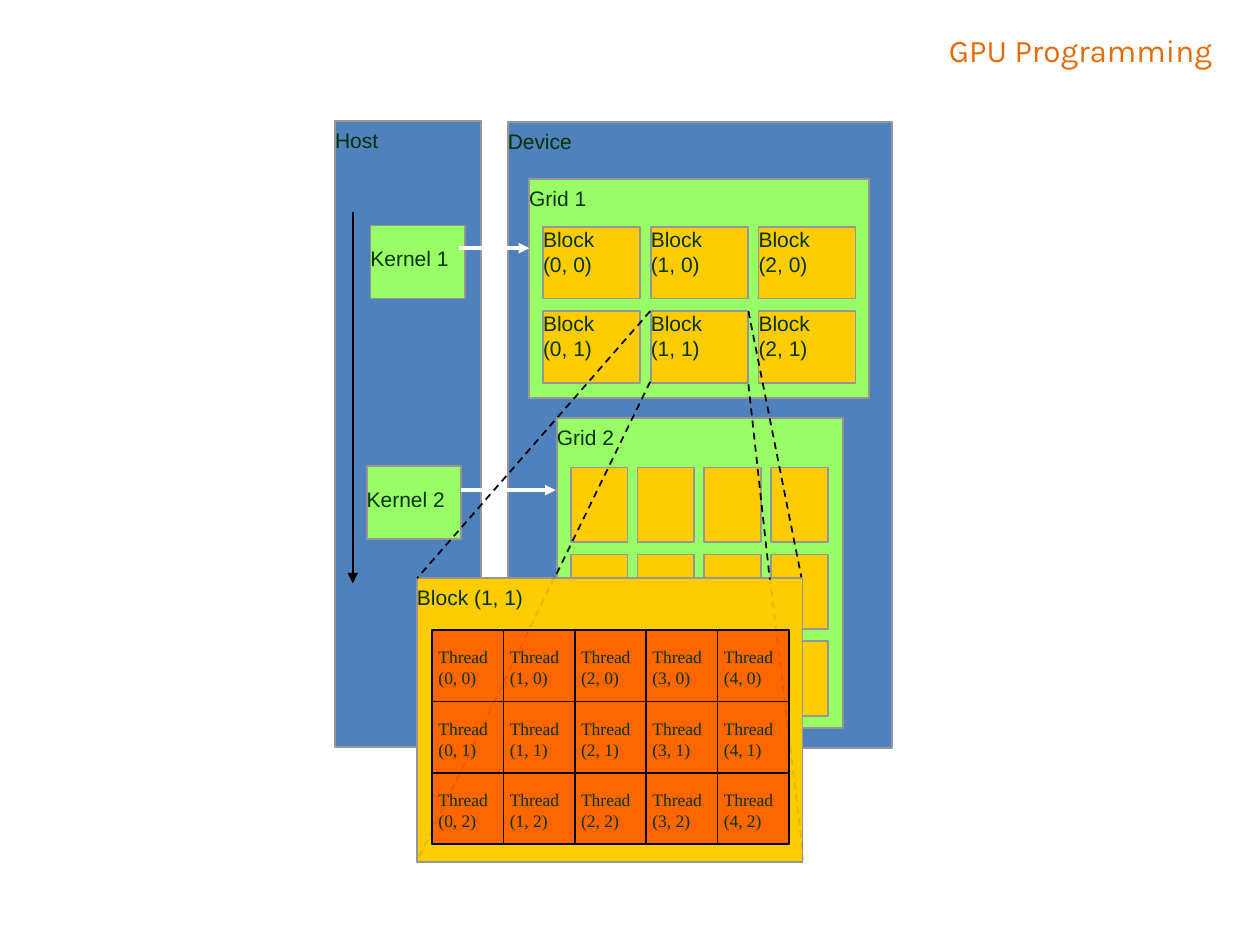
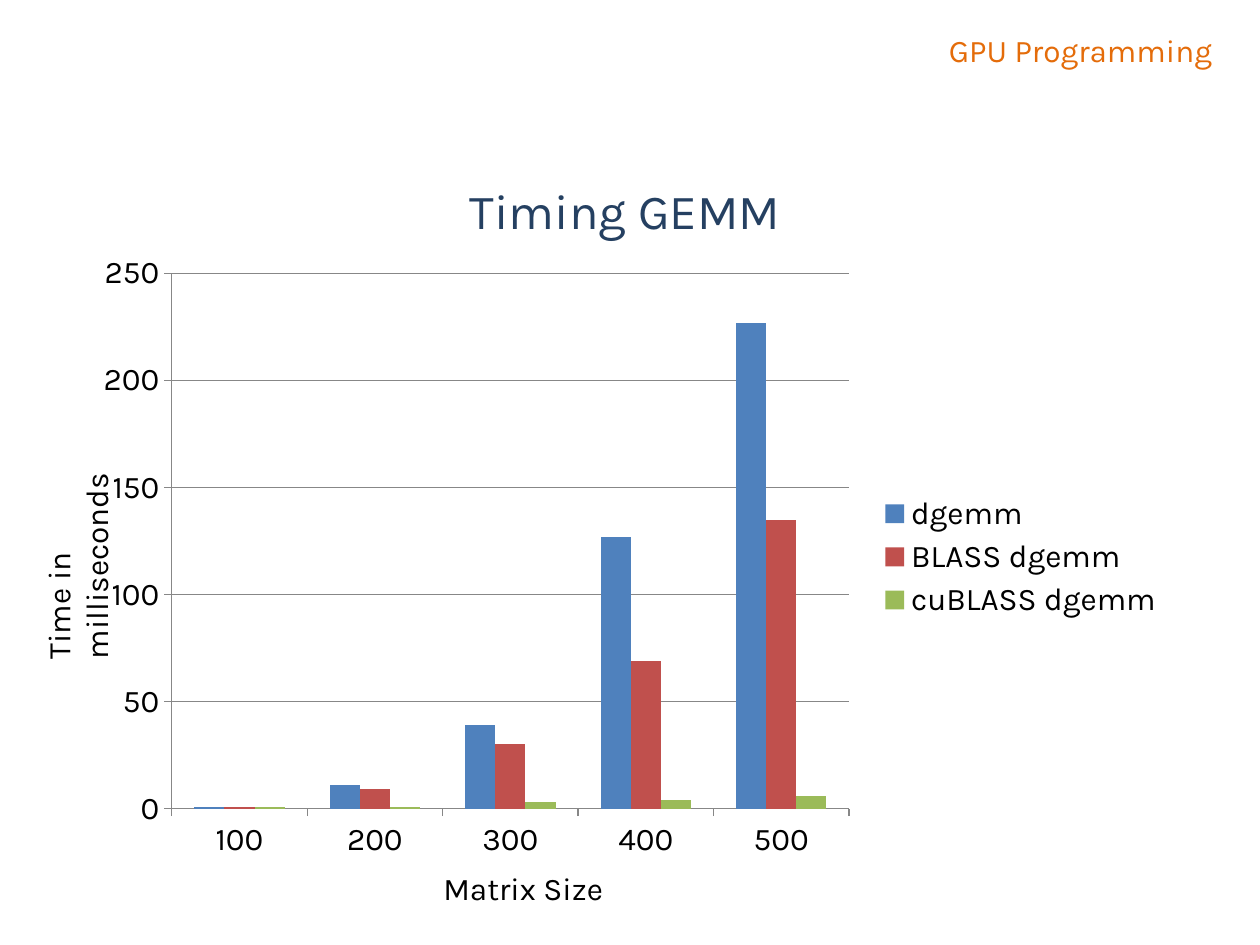
from itertools import product

from lxml import etree
from pptx import Presentation
from pptx import util as u
from pptx.chart.data import CategoryChartData
from pptx.dml.color import RGBColor
from pptx.enum import chart as charts, dml, shapes, text
from pptx.oxml import parse_xml
from pptx.oxml.ns import nsdecls, qn

COLORS = {
    "orange": "E46C0A", "navy": "254061", "black": "000000", "white": "FFFFFF",
    "panel": "4F81BD", "grid": "99FF66", "block": "FFCC00", "thread": "FF6600",
    "edge": "969696", "label": "003300", "axis": "878787",
    "blue": "4F81BD", "red": "C0504D", "green": "9BBB59",
}
BODY = {"size": 12, "name": "Arial", "color": "label"}
THREAD = {"size": 10, "name": "Times New Roman", "color": "label"}
KARLA = {"size": 18, "name": "Karla", "color": "black"}


def rgb(key):
    return RGBColor.from_string(COLORS[key])


def style_font(font, style):
    for key, value in style.items():
        if key == "color":
            font.color.rgb = rgb(value)
        else:
            setattr(font, key, u.Pt(value) if key == "size" else value)


class Deck:
    def __init__(self):
        self.prs = Presentation()
        self.prs.slide_width, self.prs.slide_height = u.Inches(10), u.Inches(7.5)
        self.s = None

    def new_slide(self):
        self.s = self.prs.slides.add_slide(self.prs.slide_layouts[6])
        self.text("GPU Programming", 5.22, 0.2, 4.5, 0.4, {**KARLA, "color": "orange"},
                  align="RIGHT")

    def text(self, lines, x, y, w, h, style=KARLA, align="LEFT", spacing=None, rotation=0):
        sp = self.s.shapes.add_textbox(*map(u.Inches, (x, y, w, h)))
        sp.rotation = rotation
        tf = sp.text_frame
        tf.word_wrap = True
        tf.auto_size = text.MSO_AUTO_SIZE.SHAPE_TO_FIT_TEXT
        tf.text = lines
        for p in tf.paragraphs:
            p.alignment = getattr(text.PP_ALIGN, align)
            if spacing:
                p.line_spacing = spacing
            for r in p.runs:
                style_font(r.font, style)
        return tf

    def label(self, lines, x, y, w, h=0.28, style=BODY, wrap=True):
        """Text without margins, centred vertically in a fixed box."""
        tf = self.text(lines, x, y, w, h, style)
        frame = {"margin_left": 0, "margin_right": 0, "margin_top": 0, "margin_bottom": 0,
                 "vertical_anchor": text.MSO_ANCHOR.MIDDLE,
                 "auto_size": text.MSO_AUTO_SIZE.NONE, "word_wrap": wrap}
        for key, value in frame.items():
            setattr(tf, key, value)

    def box(self, x, y, w, h, fill, edge="edge"):
        sp = self.s.shapes.add_shape(shapes.MSO_SHAPE.RECTANGLE,
                                     *map(u.Inches, (x, y, w, h)))
        sp.shadow.inherit = False
        sp.fill.solid()
        sp.fill.fore_color.rgb = rgb(fill)
        sp.line.color.rgb = rgb(edge)
        sp.line.width = u.Pt(1)

    def titled_box(self, title, x, y, w, h, fill):
        self.box(x, y, w, h, fill)
        self.label(title, x, y + 0.01, w)

    def line(self, x1, y1, x2, y2, color="black", width=1, arrow=False, dash=False,
             opacity=None):
        cx = self.s.shapes.add_connector(shapes.MSO_CONNECTOR.STRAIGHT,
                                         *map(u.Inches, (x1, y1, x2, y2)))
        cx.line.color.rgb = rgb(color)
        cx.line.width = u.Pt(width)
        if dash:
            cx.line.dash_style = dml.MSO_LINE.DASH
        ln = cx.line._get_or_add_ln()
        if opacity:
            clr = ln.find(".//" + qn("a:srgbClr"))
            etree.SubElement(clr, qn("a:alpha"), val=str(opacity * 1000))
        if arrow:
            etree.SubElement(ln, qn("a:tailEnd"), type="triangle")
        etree.SubElement(cx._element.spPr, qn("a:effectLst"))

    def column_chart(self, cats, series, x, y, w, h, plot):
        """Clustered columns; plot is the inner plot area as shares of the chart."""
        data = CategoryChartData()
        data.categories = cats
        for name, values, _ in series:
            data.add_series(name, values)
        ch = self.s.shapes.add_chart(charts.XL_CHART_TYPE.COLUMN_CLUSTERED,
                                     *map(u.Inches, (x, y, w, h)), data).chart
        style_font(ch.font, KARLA)
        ch.has_title = False
        ch.has_legend = True
        ch.legend.position = charts.XL_LEGEND_POSITION.RIGHT
        ch.legend.include_in_layout = False
        columns = ch.plots[0]
        columns.gap_width = 150
        columns.overlap = 0
        columns.vary_by_categories = False
        for ser, (_, _, color) in zip(columns.series, series):
            ser.format.fill.solid()
            ser.format.fill.fore_color.rgb = rgb(color)
        for axis in (ch.category_axis, ch.value_axis):
            axis.major_tick_mark = charts.XL_TICK_MARK.OUTSIDE
            axis.format.line.color.rgb = rgb("axis")
        ch.value_axis.maximum_scale, ch.value_axis.major_unit = 250, 50
        ch.value_axis.minimum_scale = 0
        ch.value_axis.major_gridlines.format.line.color.rgb = rgb("axis")
        area = ch._chartSpace.chart.plotArea
        for old in area.findall(qn("c:layout")):
            area.remove(old)
        sizes = "".join(f'<c:{key} val="{value}"/>' for key, value in zip("xywh", plot))
        area.insert(0, parse_xml(
            f'<c:layout {nsdecls("c")}><c:manualLayout><c:layoutTarget val="inner"/>'
            f'<c:xMode val="edge"/><c:yMode val="edge"/>{sizes}</c:manualLayout></c:layout>'))


def draw_host(d):
    d.titled_box("Host", 2.66, 0.96, 1.16, 4.97, "panel")
    for name, x, y in (("Kernel 1", 2.94, 1.79), ("Kernel 2", 2.91, 3.7)):
        d.box(x, y, 0.75, 0.58, "grid")
        d.label(name, x, y + 0.12, 0.75)
    d.line(2.8, 1.68, 2.8, 4.63, arrow=True)


def draw_device(d):
    d.titled_box("Device", 4.03, 0.97, 3.05, 4.97, "panel")
    d.titled_box("Grid 1", 4.2, 1.42, 2.7, 1.74, "grid")
    for row, col in product(range(2), range(3)):
        x, y = 4.31 + 1.71 * col / 2, 1.8 + 0.67 * row
        d.box(x, y, 0.77, 0.57, "block")
        d.label(f"Block\n({col}, {row})", x, y, 0.78, 0.39)
    d.titled_box("Grid 2", 4.42, 3.32, 2.27, 2.46, "grid")
    for row, col in product(range(3), range(4)):
        if row < 2 or col == 3:  # the enlarged block covers the rest of the last row
            d.box(4.53 + 0.53 * col, 3.71 + 0.69 * row, 0.45, 0.59, "block")


def draw_threads(d):
    d.titled_box("Block (1, 1)", 3.31, 4.59, 3.06, 2.25, "block")
    left, top, width, height, cols, rows = 3.43, 5, 2.83, 1.7, 5, 3
    cell_w, cell_h = width / cols, height / rows
    d.box(left, top, width, height, "thread", "black")
    for row in range(1, rows):
        d.line(left, top + row * cell_h, left + width, top + row * cell_h)
    for col in range(1, cols):
        d.line(left + col * cell_w, top, left + col * cell_w, top + height)
    for row, col in product(range(rows), range(cols)):
        d.label(f"Thread\n({col}, {row})", left + 0.05 + col * cell_w,
                top + 0.14 + row * cell_h, 0.45, 0.31, THREAD, wrap=False)


def draw_links(d):
    for x1, x2, y in ((3.64, 4.2, 1.97), (3.66, 4.41, 3.89)):
        d.line(x1, y, x2, y, "white", 2, arrow=True)
    for ends in ((5.16, 2.47, 3.31, 4.59), (5.94, 2.47, 6.36, 4.58),
                 (5.16, 3.03, 4.41, 4.57), (5.94, 3.05, 6.11, 4.6)):
        d.line(*ends, dash=True)
    for ends in ((4.4, 4.58, 3.32, 6.82), (6.11, 4.58, 6.38, 6.83)):
        d.line(*ends, dash=True, opacity=10)


def main():
    d = Deck()

    d.new_slide()
    for draw in (draw_host, draw_device, draw_threads, draw_links):
        draw(d)

    d.new_slide()
    d.text("Timing GEMM", 0.67, 0.92, 8.58, 0.92,
           {**KARLA, "size": 28, "color": "navy"}, align="CENTER", spacing=2.0)
    d.column_chart(
        ["100", "200", "300", "400", "500"],
        [("dgemm", (1, 11, 39, 127, 227), "blue"),
         ("BLASS dgemm", (1, 9, 30, 69, 135), "red"),
         ("cuBLASS dgemm", (1, 1, 3, 4, 6), "green")],
        0.67, 1.92, 8.67, 5, plot=(0.08, 0.05, 0.62, 0.85))
    d.text("Time in milliseconds", -0.79, 3.88, 2.5, 0.4, rotation=270)
    d.text("Matrix Size", 3.42, 6.85, 2.5, 0.4)

    d.prs.save("out.pptx")


if __name__ == "__main__":
    main()
